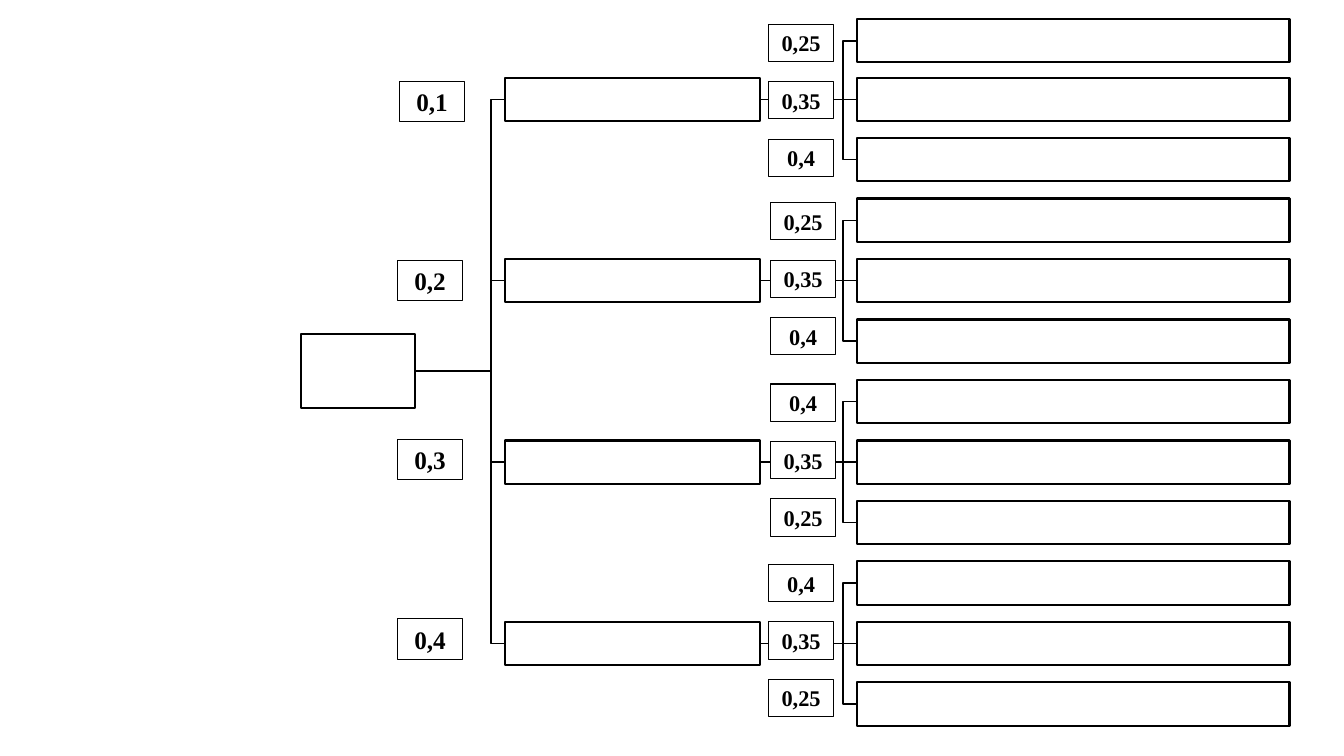
from pptx import Presentation
from pptx.dml.color import RGBColor
from pptx.enum.shapes import MSO_CONNECTOR, MSO_SHAPE
from pptx.enum.text import MSO_ANCHOR, PP_ALIGN
from pptx.oxml.ns import qn
from pptx.util import Inches, Pt
from lxml.etree import SubElement

BLACK = RGBColor(0, 0, 0)
WHITE = RGBColor(255, 255, 255)
FONT = "Times New Roman"

BRANCHES = [
    {"weight": "0,1", "at": (3.96, 0.81), "leaves": ("0,25", "0,35", "0,4"), "leaves_at": (7.62, 0.24)},
    {"weight": "0,2", "at": (3.94, 2.58), "leaves": ("0,25", "0,35", "0,4"), "leaves_at": (7.64, 2.01)},
    {"weight": "0,3", "at": (3.94, 4.36), "leaves": ("0,4", "0,35", "0,25"), "leaves_at": (7.64, 3.81)},
    {"weight": "0,4", "at": (3.94, 6.14), "leaves": ("0,4", "0,35", "0,25"), "leaves_at": (7.62, 5.6)},
]

ROOT = (2.99, 3.31, 1.13, 0.74)
BRANCH_LEFT, BRANCH_WIDTH = 5.01, 2.53
LEAF_LEFT, LEAF_WIDTH = 8.5, 4.29
BOX_HEIGHT = 0.43
FIRST_TOP, BRANCH_STEP, LEAF_STEP = 0.77, 1.8, 0.6
TOP_LEAF = 0.19
WEIGHT_WIDTH, WEIGHT_STEP = 0.65, 0.57
ELBOW_GAP = 0.14

presentation = Presentation()
presentation.slide_width = Inches(13.33)
presentation.slide_height = Inches(7.5)
slide = presentation.slides.add_slide(presentation.slide_layouts[6])


def add_box(left, top, width, height, line_width=1.5, filled=True):
    shape = slide.shapes.add_shape(
        MSO_SHAPE.RECTANGLE, Inches(left), Inches(top), Inches(width), Inches(height))
    shape.shadow.inherit = False
    if filled:
        shape.fill.solid()
        shape.fill.fore_color.rgb = WHITE
    else:
        shape.fill.background()
    shape.line.color.rgb = BLACK
    shape.line.width = Pt(line_width)
    return shape


def add_weight(text, left, top, height, size, filled=False):
    shape = add_box(left, top, WEIGHT_WIDTH, height, 0.75, filled)
    shape.text_frame.vertical_anchor = MSO_ANCHOR.MIDDLE
    paragraph = shape.text_frame.paragraphs[0]
    paragraph.text = text
    paragraph.alignment = PP_ALIGN.CENTER
    paragraph.font.name = FONT
    paragraph.font.size = Pt(size)
    paragraph.font.bold = True
    paragraph.font.color.rgb = BLACK


def add_link(start_x, start_y, end_x, end_y):
    if start_y == end_y:
        link = slide.shapes.add_connector(
            MSO_CONNECTOR.STRAIGHT, Inches(start_x), Inches(start_y), Inches(end_x), Inches(end_y))
        SubElement(link._element.spPr, qn("a:effectLst"))
    else:
        bend_x = end_x - ELBOW_GAP
        builder = slide.shapes.build_freeform(Inches(start_x), Inches(start_y))
        corners = [(bend_x, start_y), (bend_x, end_y), (end_x, end_y)]
        builder.add_line_segments([(Inches(x), Inches(y)) for x, y in corners], close=False)
        link = builder.convert_to_shape()
        link.fill.background()
        link.shadow.inherit = False
    link.line.color.rgb = BLACK
    link.line.width = Pt(1)


def middle(top):
    return top + BOX_HEIGHT / 2


branch_tops = [FIRST_TOP + index * BRANCH_STEP for index in range(len(BRANCHES))]
leaf_tops = [[top + offset * LEAF_STEP for offset in (-1, 0, 1)] for top in branch_tops]
leaf_tops[0][0] = TOP_LEAF
root_left, root_top, root_width, root_height = ROOT

for branch_top, tops in zip(branch_tops, leaf_tops):
    add_link(root_left + root_width, root_top + root_height / 2, BRANCH_LEFT, middle(branch_top))
    for top in tops:
        add_link(BRANCH_LEFT + BRANCH_WIDTH, middle(branch_top), LEAF_LEFT, middle(top))

add_box(*ROOT)
for branch_top, tops in zip(branch_tops, leaf_tops):
    add_box(BRANCH_LEFT, branch_top, BRANCH_WIDTH, BOX_HEIGHT)
    for top in tops:
        add_box(LEAF_LEFT, top, LEAF_WIDTH, BOX_HEIGHT)

for branch in BRANCHES:
    add_weight(branch["weight"], *branch["at"], 0.4, 18)
    left, first_top = branch["leaves_at"]
    for index, weight in enumerate(branch["leaves"]):
        add_weight(weight, left, first_top + index * WEIGHT_STEP, 0.37, 16, filled=index == 1)

presentation.save("out.pptx")
